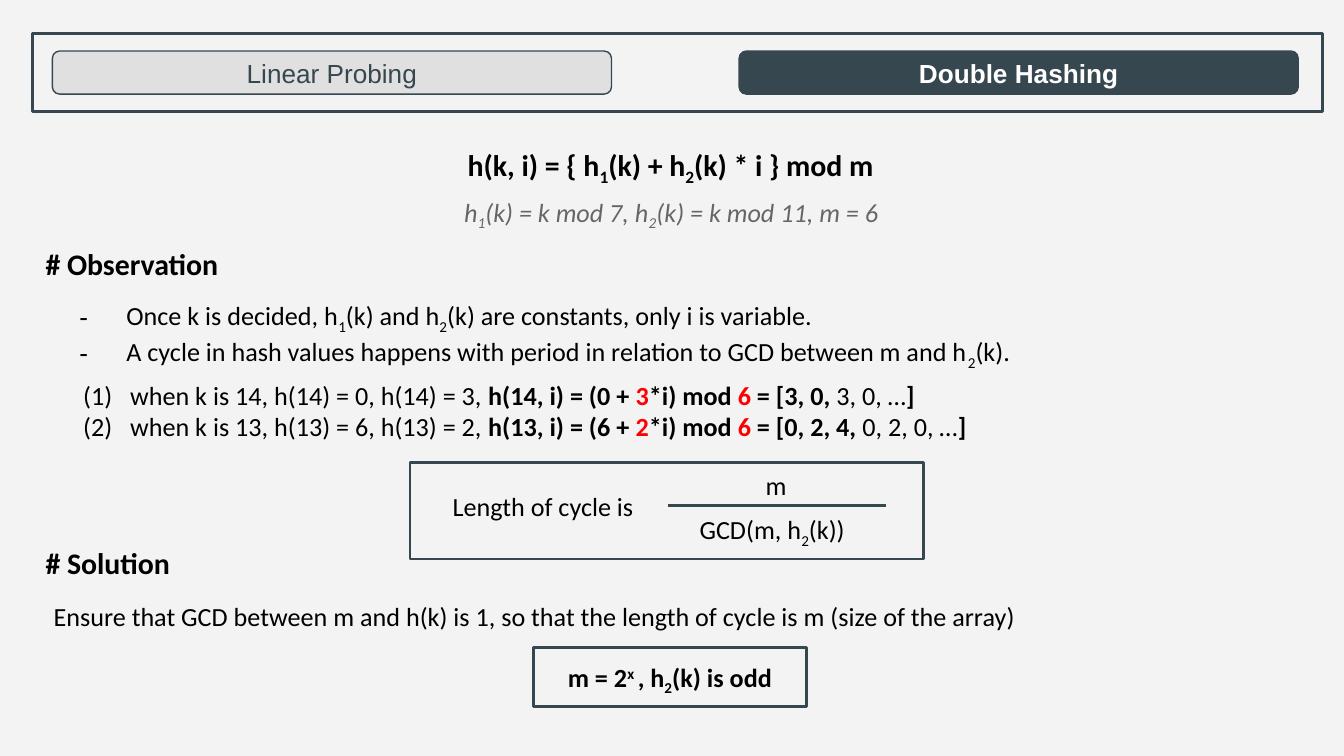
from lxml import etree
from pptx import Presentation
from pptx.dml.color import RGBColor
from pptx.enum.shapes import MSO_CONNECTOR, MSO_SHAPE
from pptx.enum.text import MSO_ANCHOR, MSO_AUTO_SIZE, PP_ALIGN
from pptx.oxml.ns import qn
from pptx.util import Inches, Pt

LEFT, CENTER = PP_ALIGN.LEFT, PP_ALIGN.CENTER
TOP, MIDDLE = MSO_ANCHOR.TOP, MSO_ANCHOR.MIDDLE
NO_AUTOFIT = MSO_AUTO_SIZE.NONE
RECTANGLE, ROUNDED = MSO_SHAPE.RECTANGLE, MSO_SHAPE.ROUNDED_RECTANGLE
STRAIGHT = MSO_CONNECTOR.STRAIGHT

SLATE = RGBColor(0x37, 0x47, 0x4F)
LIGHT = RGBColor(0xE0, 0xE0, 0xE0)
PAPER = RGBColor(0xF3, 0xF3, 0xF3)
GRAY = RGBColor(0x66, 0x66, 0x66)
BLACK = RGBColor(0, 0, 0)
WHITE = RGBColor(0xFF, 0xFF, 0xFF)
RED = RGBColor(0xFF, 0, 0)

BASELINES = {"sub": "-25000", "sup": "30000"}


def write(box, lines, size=14, color=BLACK, bold=False, italic=False,
          align=LEFT, anchor=TOP, font="Calibri", bullet=None):
    """Fill a box; a line is a list of plain strings and (text, style) pairs."""
    frame = box.text_frame
    frame.word_wrap = True
    frame.auto_size = NO_AUTOFIT
    frame.vertical_anchor = anchor
    frame.margin_left = frame.margin_right = Inches(0.1)
    frame.margin_top = frame.margin_bottom = Inches(0.1)
    for index, line in enumerate(lines):
        para = frame.add_paragraph() if index else frame.paragraphs[0]
        para.alignment = align
        para.space_before = Pt(0)
        if bullet:
            tag, attribute, value = bullet
            properties = para._p.get_or_add_pPr()
            properties.set("marL", str(Inches(0.5)))
            properties.set("indent", str(Inches(-0.35)))
            etree.SubElement(properties, qn(tag)).set(attribute, value)
        para.font.name = font
        para.font.size = Pt(size)
        para.font.color.rgb = color
        para.font.bold = bold
        para.font.italic = italic
        for part in line:
            text, style = (part, "") if isinstance(part, str) else part
            span = para.add_run()
            span.text = text
            if style in BASELINES:
                span.font._element.set("baseline", BASELINES[style])
            elif style:
                span.font.bold = True
                if style == "red":
                    span.font.color.rgb = RED


def add_box(shapes, kind, left, top, width, height, fill=None, line=1.5):
    box = shapes.add_shape(kind, Inches(left), Inches(top), Inches(width), Inches(height))
    box.shadow.inherit = False
    if fill is None:
        box.fill.background()
    else:
        box.fill.solid()
        box.fill.fore_color.rgb = fill
    box.line.color.rgb = SLATE
    box.line.width = Pt(line)
    return box


deck = Presentation()
deck.slide_width = Inches(10)
deck.slide_height = Inches(10) * 9 // 16
page = deck.slides.add_slide(deck.slide_layouts[1])
page.background.fill.solid()
page.background.fill.fore_color.rgb = PAPER
shapes = page.shapes

# Tabs
add_box(shapes, RECTANGLE, 0.24, 0.25, 9.6, 0.58)
for left, label, fill, color, active in [
    (0.39, "Linear Probing", LIGHT, SLATE, False),
    (5.5, "Double Hashing", SLATE, WHITE, True),
]:
    tab = add_box(shapes, ROUNDED, left, 0.38, 4.16, 0.32, fill, 0.75)
    write(tab, [[label]], color=color, bold=active, align=CENTER, anchor=MIDDLE, font="Arial")

# Hash formula as title, dash list as body
formula, facts = shapes.title, page.placeholders[1]
for holder, (left, top, width, height) in [
    (formula, (1.83, 0.99, 6.32, 0.47)),
    (facts, (0.34, 2.13, 9.46, 0.67)),
]:
    holder.left, holder.top = Inches(left), Inches(top)
    holder.width, holder.height = Inches(width), Inches(height)
write(formula, [["h(k, i) = { h", ("1", "sub"), "(k) + h", ("2", "sub"), "(k) * i } mod m"]],
      size=16, bold=True, align=CENTER)
write(facts, [
    ["Once k is decided, h", ("1", "sub"), "(k) and h", ("2", "sub"),
     "(k) are constants, only i is variable."],
    ["A cycle in hash values happens with period in relation to GCD between m and h",
     ("2", "sub"), "(k)."],
], bullet=("a:buChar", "char", "-"))

# Example functions, headings, numbered cases and conclusion
functions = [["h", ("1", "sub"), "(k) = k mod 7, h", ("2", "sub"), "(k) = k mod 11, m = 6"]]
cases = [
    [f"when k is {k}, h({k}) = {first}, h({k}) = {step}, ",
     (f"h({k}, i) = ({first} + ", "bold"), (step, "red"), ("*i) mod ", "bold"),
     ("6", "red"), (f" = [{cycle}, ", "bold"), f"{rest}, …", ("]", "bold")]
    for k, first, step, cycle, rest in [
        (14, 0, "3", "3, 0", "3, 0"),
        (13, 6, "2", "0, 2, 4", "0, 2, 0"),
    ]
]
conclusion = "Ensure that GCD between m and h(k) is 1, so that the length of cycle is m (size of the array)"
heading = {"size": 16, "bold": True}
for left, top, width, height, lines, style in [
    (2.69, 1.36, 4.61, 0.44, functions, {"color": GRAY, "italic": True, "align": CENTER}),
    (0.24, 1.73, 6.32, 0.47, [["# Observation"]], heading),
    (0.37, 2.72, 9.29, 0.67, cases, {"bullet": ("a:buAutoNum", "type", "arabicParenBoth")}),
    (0.24, 3.95, 6.32, 0.47, [["# Solution"]], heading),
    (0.3, 4.37, 9.32, 0.44, [[conclusion]], {}),
]:
    box = shapes.add_textbox(Inches(left), Inches(top), Inches(width), Inches(height))
    write(box, lines, **style)

# Rule for the table size
rule = add_box(shapes, RECTANGLE, 3.97, 4.82, 2.03, 0.44)
write(rule, [["m = 2", ("x ", "sup"), ", h", ("2", "sub"), "(k) is odd"]], bold=True, align=CENTER)

# Cycle length as a fraction
cycle = shapes.add_group_shape().shapes
for left, top, width, line, align in [
    (3.27, 3.55, 1.88, ["Length of cycle is"], LEFT),
    (4.97, 3.72, 1.55, ["GCD(m, h", ("2", "sub"), "(k))"], CENTER),
    (5, 3.39, 1.55, ["m"], CENTER),
]:
    box = cycle.add_textbox(Inches(left), Inches(top), Inches(width), Inches(0.44))
    write(box, [line], align=align)
bar = cycle.add_connector(STRAIGHT, Inches(4.97), Inches(3.76), Inches(6.59), Inches(3.76))
bar.line.color.rgb = SLATE
bar.line.width = Pt(1.5)
etree.SubElement(bar._element.spPr, qn("a:effectLst"))
add_box(cycle, RECTANGLE, 3.05, 3.44, 3.82, 0.72)

deck.save("out.pptx")
